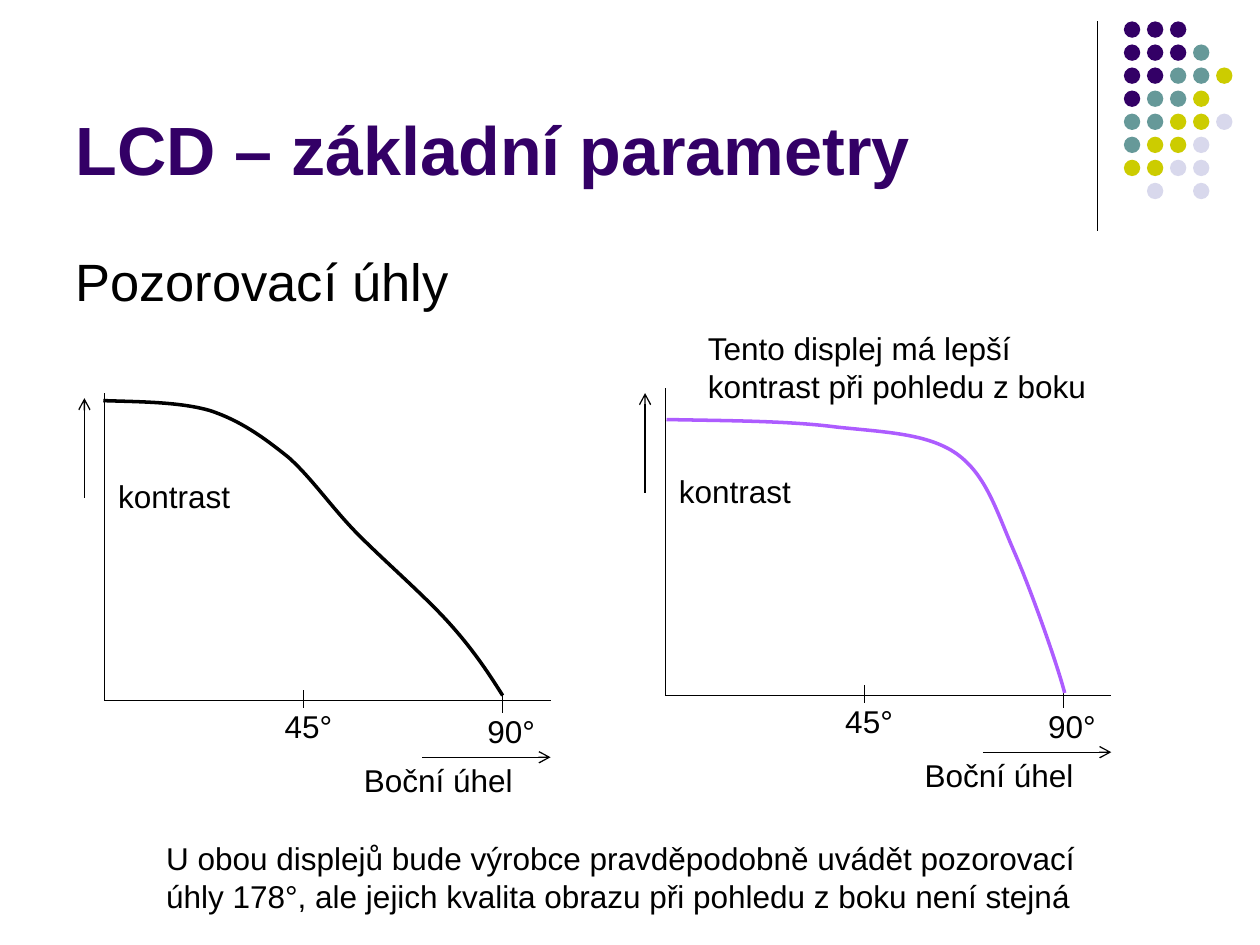
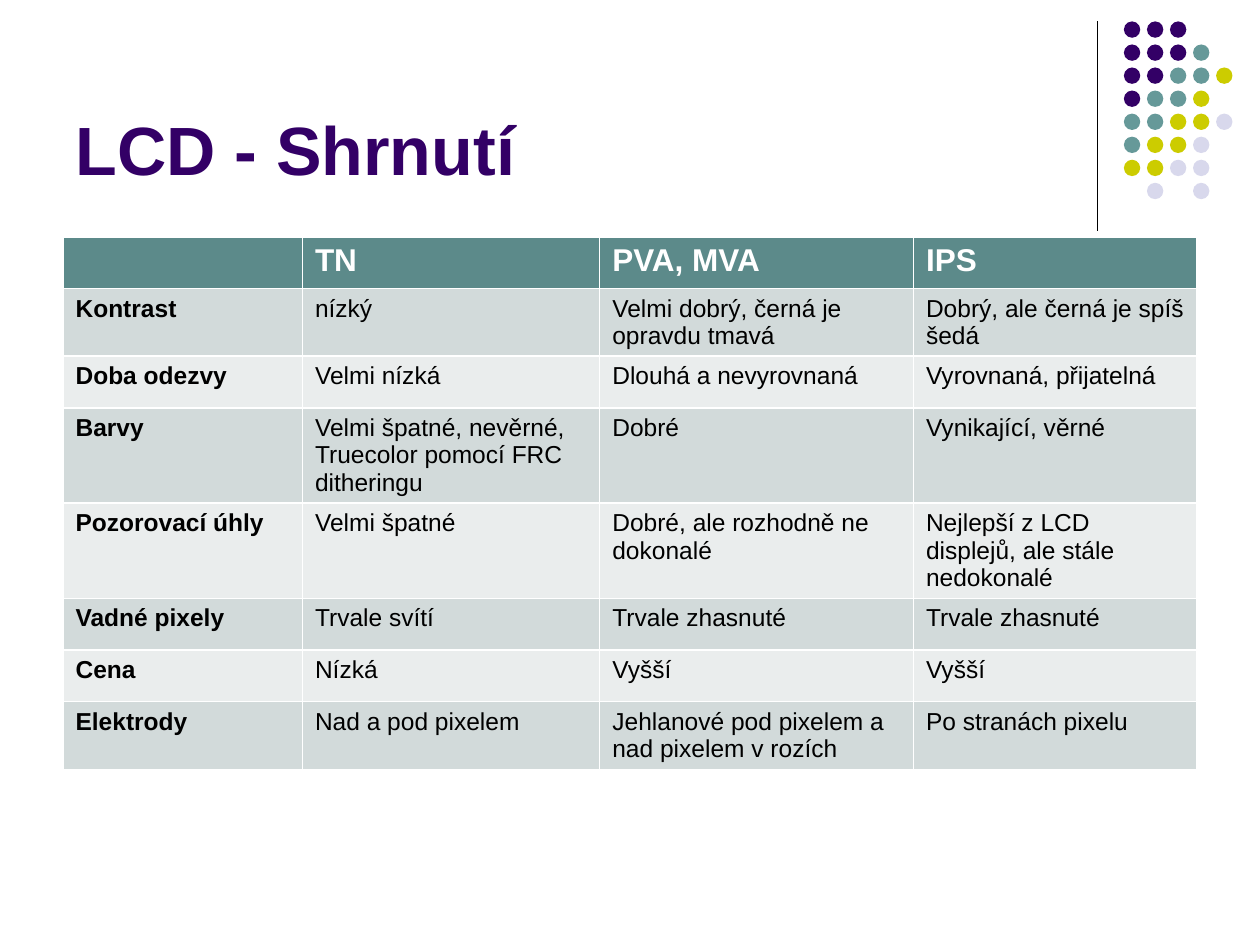
from dataclasses import dataclass

from lxml import etree
from pptx import Presentation
from pptx.dml.color import RGBColor
from pptx.enum.shapes import MSO_CONNECTOR, MSO_SHAPE
from pptx.enum.text import MSO_ANCHOR, MSO_AUTO_SIZE, PP_ALIGN
from pptx.oxml.ns import qn
from pptx.util import Pt

EMU_PER_PX = 9144  # 100 px to the inch


def px(n):
    return round(n * EMU_PER_PX)


@dataclass(frozen=True)
class Theme:
    font: str = "Arial"
    # Colours
    ink: str = "000000"
    white: str = "FFFFFF"
    purple: str = "330066"
    teal: str = "669999"
    olive: str = "CCCC00"
    lavender: str = "D8D8EC"
    violet: str = "AD5CFF"
    header: str = "5C8A8A"
    band_dark: str = "D2DADA"
    band_light: str = "EAEDED"
    # Type sizes and line widths in points
    title: int = 39
    body: int = 30
    label: int = 18
    cell: int = 14
    thin: float = 0.75
    curve: float = 2


# Corner dots: P purple, T teal, O olive, L lavender
DOT_ROWS = ("PPP", "PPPT", "PPTTO", "PTTO", "TTOOL", "TOOL", "OOLL", " L L")
DOT_SIZE, DOT_PITCH = 13, 18.3


class Deck:
    def __init__(self, theme):
        self.theme = theme
        self.prs = Presentation()
        self.prs.slide_width, self.prs.slide_height = px(1000), px(750)
        self.s = None

    def style(self, p, size, color, bold=False):
        p.font.name = self.theme.font
        p.font.size = Pt(size)
        p.font.bold = bold
        p.font.color.rgb = RGBColor.from_string(color)

    def slide(self, title):
        self.s = self.prs.slides.add_slide(self.prs.slide_layouts[5])
        self.line(871, 17, 871, 183)
        self.dots(892, 17)
        sp = self.s.shapes.title
        sp.left, sp.top, sp.width, sp.height = map(px, (50, 13, 825, 142))
        tf = sp.text_frame
        tf.text = title
        tf.vertical_anchor = MSO_ANCHOR.BOTTOM
        p = tf.paragraphs[0]
        p.alignment = PP_ALIGN.LEFT
        self.style(p, self.theme.title, self.theme.purple, bold=True)

    def dots(self, left, top):
        t = self.theme
        colors = {"P": t.purple, "T": t.teal, "O": t.olive, "L": t.lavender}
        group = self.s.shapes.add_group_shape()
        for row, keys in enumerate(DOT_ROWS):
            for col, key in enumerate(keys):
                if key not in colors:
                    continue
                sp = group.shapes.add_shape(
                    MSO_SHAPE.OVAL, px(left + col * DOT_PITCH),
                    px(top + row * DOT_PITCH), px(DOT_SIZE), px(DOT_SIZE))
                sp.shadow.inherit = False
                sp.fill.solid()
                sp.fill.fore_color.rgb = RGBColor.from_string(colors[key])
                sp.line.fill.background()

    def line(self, x1, y1, x2, y2, arrow=False):
        sp = self.s.shapes.add_connector(
            MSO_CONNECTOR.STRAIGHT, px(x1), px(y1), px(x2), px(y2))
        sp.line.color.rgb = RGBColor.from_string(self.theme.ink)
        sp.line.width = Pt(self.theme.thin)
        if arrow:
            ln = sp.line._get_or_add_ln()
            etree.SubElement(ln, qn("a:tailEnd"), type="arrow")
        etree.SubElement(sp._element.spPr, qn("a:effectLst"))

    def text(self, text, left, top, width, height, size=None):
        sp = self.s.shapes.add_textbox(*map(px, (left, top, width, height)))
        tf = sp.text_frame
        tf.word_wrap = True
        if size is None:
            tf.auto_size = MSO_AUTO_SIZE.SHAPE_TO_FIT_TEXT
        tf.text = text
        self.style(tf.paragraphs[0], size or self.theme.label, self.theme.ink)

    def curve(self, points, color):
        """Smooth path: a start point, then three Bézier points per segment."""
        start, *rest = points
        builder = self.s.shapes.build_freeform(*start, scale=EMU_PER_PX)
        builder.add_line_segments(rest, close=False)
        sp = builder.convert_to_shape()
        sp.shadow.inherit = False
        sp.fill.background()
        sp.line.color.rgb = RGBColor.from_string(color)
        sp.line.width = Pt(self.theme.curve)
        # Turn each three straight steps into one cubic segment
        outline = next(sp._element.iter(qn("a:path")))
        steps = outline.findall(qn("a:lnTo"))
        for i in range(0, len(steps), 3):
            cubic = etree.SubElement(outline, qn("a:cubicBezTo"))
            for step in steps[i:i + 3]:
                cubic.append(step[0])
                outline.remove(step)

    def contrast_plot(self, x, y, points, color):
        """Contrast against side angle, with the origin of the axes at x, y."""
        # Axes and direction arrows
        self.line(x, y - 244, x, y)
        self.line(x, y, x + 354, y)
        self.line(x - 16, y - 161, x - 16, y - 240, arrow=True)
        self.line(x + 252, y + 45, x + 354, y + 45, arrow=True)
        # Ticks
        self.line(x + 158, y - 8, x + 158, y + 6)
        self.line(x + 316, y - 4, x + 316, y + 10)
        # Labels
        self.text("kontrast", x + 1, y - 182, 143, 40)
        self.text("Boční úhel", x + 196, y + 43, 158, 40)
        self.text("45°", x + 133, y, 75, 40)
        self.text("90°", x + 294, y + 4, 75, 40)
        self.curve(points, color)

    def table(self, rows, left, top, widths, row_height):
        t = self.theme
        table = self.s.shapes.add_table(
            len(rows), len(widths), px(left), px(top),
            px(sum(widths)), px(row_height * len(rows))).table
        table.horz_banding = False
        for column, width in zip(table.columns, widths):
            column.width = px(width)
        for i, row in enumerate(rows):
            head = i == 0
            fill = t.header if head else t.band_dark if i % 2 else t.band_light
            for j, text in enumerate(row):
                cell = table.cell(i, j)
                cell.fill.solid()
                cell.fill.fore_color.rgb = RGBColor.from_string(fill)
                cell.text = text
                self.style(cell.text_frame.paragraphs[0],
                           t.label if head else t.cell,
                           t.white if head else t.ink, bold=head or j == 0)


STEEP_CURVE = [
    (82, 318), (112, 319), (143, 319), (167, 326), (191, 334), (209, 347),
    (229, 363), (248, 380), (264, 404), (285, 425), (307, 447), (337, 473),
    (356, 494), (375, 515), (387, 533), (399, 552)]
FLAT_CURVE = [
    (529, 333), (577, 334), (626, 334), (664, 339), (702, 343), (736, 344),
    (759, 360), (783, 377), (791, 406), (805, 438), (819, 470), (840, 530),
    (845, 550)]

SUMMARY = [
    ("", "TN", "PVA, MVA", "IPS"),
    ("Kontrast", "nízký", "Velmi dobrý, černá je opravdu tmavá",
     "Dobrý, ale černá je spíš šedá"),
    ("Doba odezvy", "Velmi nízká", "Dlouhá a nevyrovnaná",
     "Vyrovnaná, přijatelná"),
    ("Barvy", "Velmi špatné, nevěrné, Truecolor pomocí FRC ditheringu",
     "Dobré", "Vynikající, věrné"),
    ("Pozorovací úhly", "Velmi špatné", "Dobré, ale rozhodně ne dokonalé",
     "Nejlepší z LCD displejů, ale stále nedokonalé"),
    ("Vadné pixely", "Trvale svítí", "Trvale zhasnuté", "Trvale zhasnuté"),
    ("Cena", "Nízká", "Vyšší", "Vyšší"),
    ("Elektrody", "Nad a pod pixelem",
     "Jehlanové pod pixelem a nad pixelem v rozích", "Po stranách pixelu"),
]


def main():
    theme = Theme()
    deck = Deck(theme)

    # Viewing angles
    deck.slide("LCD – základní parametry")
    deck.text("Pozorovací úhly", 50, 193, 900, 482, theme.body)
    deck.contrast_plot(83, 556, STEEP_CURVE, theme.ink)
    deck.contrast_plot(528, 552, FLAT_CURVE, theme.violet)
    deck.text("Tento displej má lepší kontrast při pohledu z boku",
              552, 256, 323, 71)
    deck.text("U obou displejů bude výrobce pravděpodobně uvádět pozorovací "
              "úhly 178°, ale jejich kvalita obrazu při pohledu z boku není "
              "stejná", 122, 661, 775, 71)

    # Summary of panel types
    deck.slide("LCD - Shrnutí")
    deck.table(SUMMARY, 50, 188, (190, 236, 249, 225), 41)

    deck.prs.save("out.pptx")


if __name__ == "__main__":
    main()
